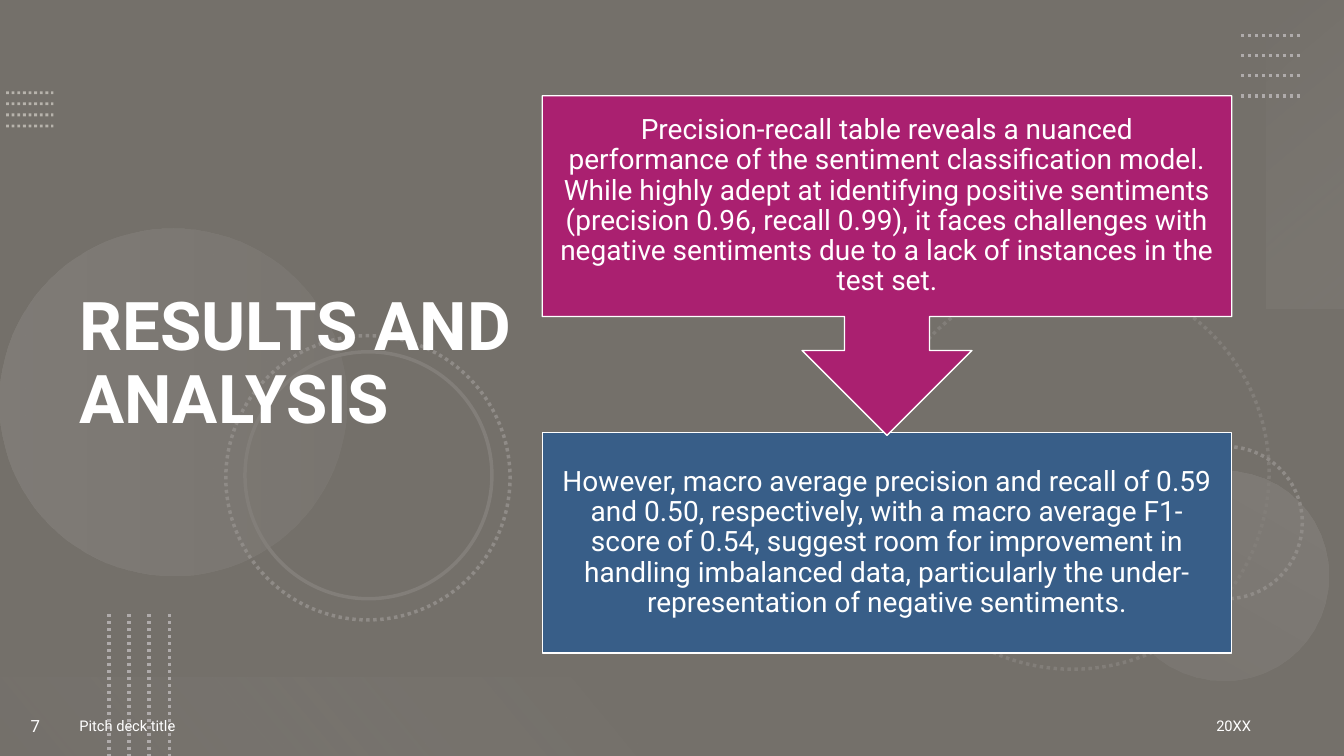
from dataclasses import dataclass

from lxml import etree
from pptx import Presentation
from pptx.dml.color import RGBColor
from pptx.enum.dml import MSO_LINE
from pptx.enum.shapes import MSO_CONNECTOR, MSO_SHAPE
from pptx.enum.text import MSO_ANCHOR, PP_ALIGN
from pptx.oxml.ns import qn
from pptx.util import Inches, Pt

DOTTED, SOLID = MSO_LINE.ROUND_DOT, MSO_LINE.SOLID
STRAIGHT = MSO_CONNECTOR.STRAIGHT
RECT, OVAL = MSO_SHAPE.RECTANGLE, MSO_SHAPE.OVAL
ARROW_BOX = MSO_SHAPE.DOWN_ARROW_CALLOUT
LEFT, CENTER, RIGHT = PP_ALIGN.LEFT, PP_ALIGN.CENTER, PP_ALIGN.RIGHT
JUSTIFY, MIDDLE = PP_ALIGN.JUSTIFY, MSO_ANCHOR.MIDDLE
TITLE_ONLY = 5
COLUMNS, ROWS = 160, 90  # grid over the whole slide
CELL = Inches(1 / 12)


@dataclass(frozen=True)
class Theme:
    font: str = "Roboto"
    paper: str = "F8F0E3"
    shade: str = "000000"
    white: str = "FFFFFF"
    cream: str = "FBF6EE"
    silver: str = "AFABAB"
    ring: str = "8F8B87"
    faint_ring: str = "827E79"
    mid_gray: str = "767171"
    pale: str = "F5F5F5"
    magenta: str = "AA2070"
    blue: str = "385E88"
    title_size: float = 48
    statement_size: float = 20
    number_size: float = 12
    footer_size: float = 10.5


@dataclass(frozen=True)
class Box:
    col: float
    row: float
    cols: float
    rows: float

    def emu(self) -> list[int]:
        return [round(v * CELL) for v in (self.col, self.row, self.cols, self.rows)]


@dataclass(frozen=True)
class DotRows:
    """Equal parallel dotted lines; step_x and step_y lead to the next line."""
    first: Box
    step_x: float
    step_y: float
    color: str
    width: float
    opacity: int = 100


@dataclass(frozen=True)
class Ring:
    col: float
    row: float
    diameter: float
    color: str
    dash: MSO_LINE = DOTTED


@dataclass(frozen=True)
class Glow:
    kind: MSO_SHAPE
    box: Box
    rotation: int
    angle: int
    stops: tuple[tuple[str, int], tuple[str, int]]  # colour, opacity


@dataclass(frozen=True)
class Label:
    text: str
    box: Box
    size: float
    align: PP_ALIGN


@dataclass(frozen=True)
class Statement:
    kind: MSO_SHAPE
    box: Box
    color: str
    text: str


THEME = Theme()

DOT_ROWS = [
    DotRows(Box(0.72, 11.04, 5.64, 0), 0, 1.32, THEME.cream, 2, 50),
    DotRows(Box(147.72, 4.2, 7.2, 0), 0, 2.4, THEME.silver, 2.5),
    DotRows(Box(12.96, 73.08, 0, 16.92), 2.4, 0, THEME.silver, 2.5),
]
RINGS = [
    Ring(104.28, 32.88, 46.8, THEME.faint_ring),
    Ring(136.92, 53.16, 18.12, THEME.ring),
    Ring(26.88, 39.96, 33.84, THEME.ring),
    Ring(29.16, 41.88, 29.4, THEME.faint_ring, SOLID),
]
GLOWS = [
    Glow(OVAL, Box(0, 27.24, 41.28, 41.28), 270, 90,
         ((THEME.silver, 20), (THEME.silver, 10))),
    Glow(OVAL, Box(133.2, 56.04, 24.96, 24.96), 210, 90,
         ((THEME.silver, 10), (THEME.silver, 20))),
    Glow(RECT, Box(137.04, 13.68, 36.72, 9.36), 270, 140,
         ((THEME.pale, 0), (THEME.silver, 10))),
    Glow(RECT, Box(0, 80.64, 80, 9.36), 180, 140,
         ((THEME.mid_gray, 10), (THEME.pale, 0))),
]
HEADING = Label("RESULTS AND ANALYSIS", Box(8.28, 6.48, 55.08, 74.04),
                THEME.title_size, LEFT)
FOOTERS = [
    Label("Pitch deck title", Box(8.28, 82.8, 109.2, 7.2), THEME.footer_size, JUSTIFY),
    Label("7", Box(0, 82.8, 8.4, 7.2), THEME.number_size, CENTER),
    Label("20XX", Box(120.12, 82.8, 30, 7.2), THEME.footer_size, RIGHT),
]
STATEMENTS = [
    Statement(RECT, Box(64.56, 51.48, 82.08, 26.28), THEME.blue,
              "However, macro average precision and recall of 0.59 and 0.50, "
              "respectively, with a macro average F1-score of 0.54, suggest room for "
              "improvement in handling imbalanced data, particularly the "
              "under-representation of negative sentiments."),
    Statement(ARROW_BOX, Box(64.56, 11.4, 82.08, 40.44), THEME.magenta,
              "Precision-recall table reveals a nuanced performance of the sentiment "
              "classification model. While highly adept at identifying positive "
              "sentiments (precision 0.96, recall 0.99), it faces challenges with "
              "negative sentiments due to a lack of instances in the test set."),
]


def rgb(color: str) -> RGBColor:
    return RGBColor.from_string(color)


def set_opacity(element, percent: int) -> None:
    for color in element.iter(qn("a:srgbClr")):
        etree.SubElement(color, qn("a:alpha"), val=str(percent * 1000))


def write(frame, text: str, size: float, align: PP_ALIGN, bold: bool = False,
          spacing: float = 1.0, inset: float | None = None) -> None:
    frame.word_wrap = True
    frame.vertical_anchor = MIDDLE
    if inset is not None:
        for side in ("left", "top", "right", "bottom"):
            setattr(frame, f"margin_{side}", Inches(inset))
    paragraph = frame.paragraphs[0]
    paragraph.alignment, paragraph.line_spacing = align, spacing
    run = paragraph.add_run()
    run.text = text
    for name, value in {"name": THEME.font, "size": Pt(size), "bold": bold}.items():
        setattr(run.font, name, value)
    run.font.color.rgb = rgb(THEME.white)


def add_plain(slide, kind: MSO_SHAPE, box: Box):
    shape = slide.shapes.add_shape(kind, *box.emu())
    shape.shadow.inherit = False
    shape.fill.background()
    shape.line.fill.background()
    return shape


def style_line(line, color: str, width: float, dash: MSO_LINE) -> None:
    line.color.rgb = rgb(color)
    line.width = Pt(width)
    line.dash_style = dash


def add_dot_rows(slide, dots: DotRows, count: int = 4) -> None:
    left, top, width, height = dots.first.emu()
    for i in range(count):
        x = left + round(i * dots.step_x * CELL)
        y = top + round(i * dots.step_y * CELL)
        dotted = slide.shapes.add_connector(STRAIGHT, x, y, x + width, y + height)
        style_line(dotted.line, dots.color, dots.width, DOTTED)
        properties = dotted.element.spPr
        if dots.opacity < 100:
            set_opacity(properties, dots.opacity)
        etree.SubElement(properties, qn("a:effectLst"))


def add_ring(slide, ring: Ring) -> None:
    circle = add_plain(slide, OVAL, Box(ring.col, ring.row, ring.diameter, ring.diameter))
    circle.rotation = 75
    style_line(circle.line, ring.color, 2.5, ring.dash)


def add_glow(slide, glow: Glow) -> None:
    patch = add_plain(slide, glow.kind, glow.box)
    patch.rotation = glow.rotation
    patch.fill.gradient()
    patch.fill.gradient_angle = 360 - glow.angle
    stops = patch.element.spPr.iter(qn("a:gs"))
    for stop, element, (color, opacity) in zip(patch.fill.gradient_stops, stops, glow.stops):
        stop.color.rgb = rgb(color)
        set_opacity(element, opacity)


def add_statement(slide, statement: Statement) -> None:
    panel = add_plain(slide, statement.kind, statement.box)
    panel.fill.solid()
    panel.fill.fore_color.rgb = rgb(statement.color)
    style_line(panel.line, THEME.white, 1, SOLID)
    if statement.kind == ARROW_BOX:
        for i, share in enumerate((0.25, 0.25, 0.25, 0.65)):
            panel.adjustments[i] = share
    write(panel.text_frame, statement.text, THEME.statement_size, CENTER,
          spacing=0.9, inset=0.16)


def main() -> None:
    deck = Presentation()
    deck.slide_width, deck.slide_height = COLUMNS * CELL, ROWS * CELL
    slide = deck.slides.add_slide(deck.slide_layouts[TITLE_ONLY])

    # Background and shade
    slide.background.fill.solid()
    slide.background.fill.fore_color.rgb = rgb(THEME.paper)
    shade = add_plain(slide, RECT, Box(0, 0, COLUMNS, ROWS))
    shade.fill.solid()
    shade.fill.fore_color.rgb = rgb(THEME.shade)
    set_opacity(shade.element.spPr, 53)

    # Decoration
    for glow in GLOWS:
        add_glow(slide, glow)
    for ring in RINGS:
        add_ring(slide, ring)
    for dots in DOT_ROWS:
        add_dot_rows(slide, dots)

    # Heading, brought in front of the shade
    heading = slide.shapes.title
    heading.element.getparent().append(heading.element)
    heading.left, heading.top, heading.width, heading.height = HEADING.box.emu()
    write(heading.text_frame, HEADING.text, HEADING.size, HEADING.align, True, 0.9)

    # Footer
    for footer in FOOTERS:
        note = slide.shapes.add_textbox(*footer.box.emu())
        write(note.text_frame, footer.text, footer.size, footer.align)

    # Findings
    for statement in STATEMENTS:
        add_statement(slide, statement)

    deck.save("out.pptx")


if __name__ == "__main__":
    main()
